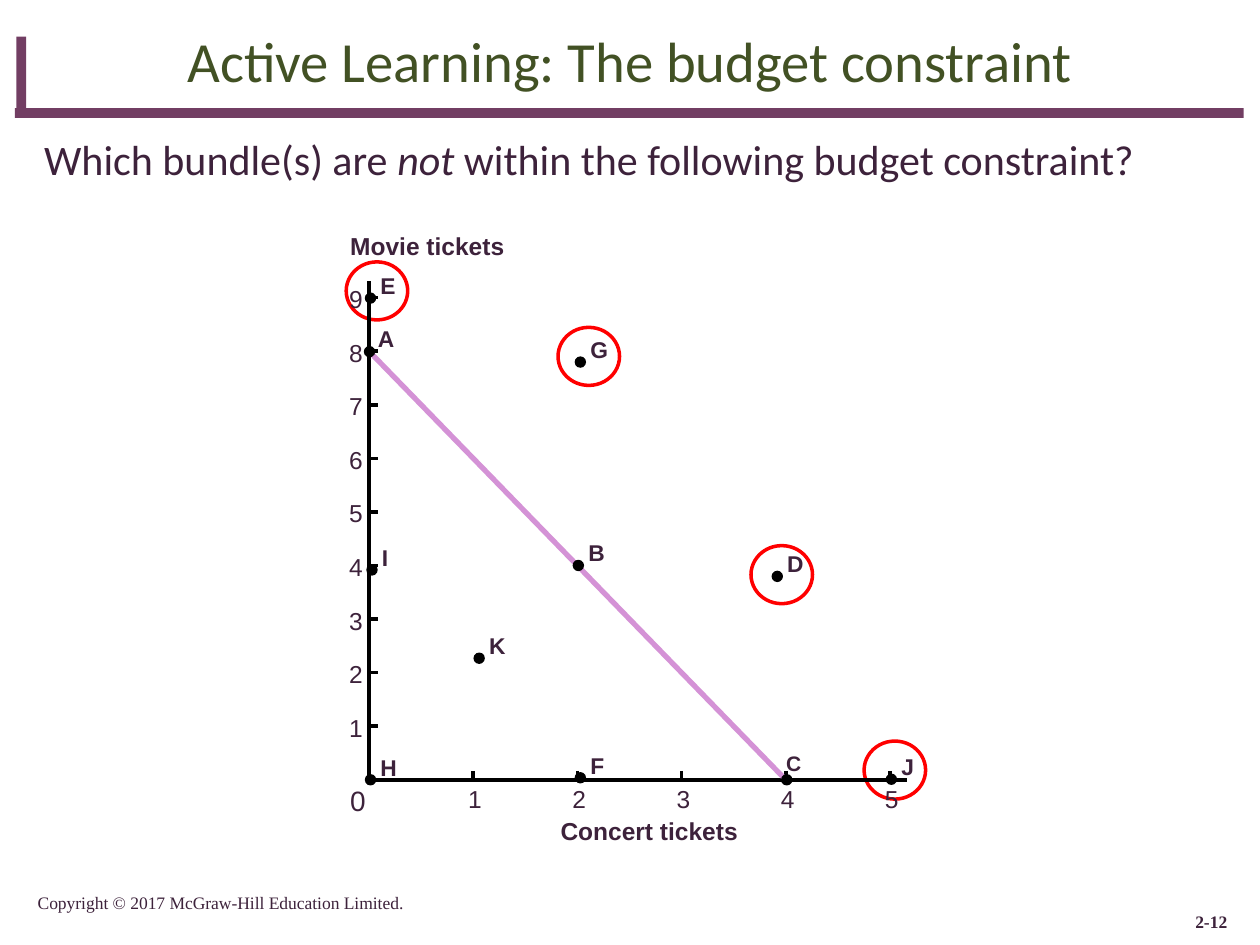
import pptx
import pptx.dml.color
import pptx.enum.shapes
import pptx.enum.text
import pptx.oxml.ns
import pptx.util
from dataclasses import dataclass
from lxml import etree

Cm = pptx.util.Cm
Pt = pptx.util.Pt
ALIGN = pptx.enum.text.PP_ALIGN
ANCHOR = pptx.enum.text.MSO_ANCHOR
FIT = pptx.enum.text.MSO_AUTO_SIZE
SHAPE = pptx.enum.shapes.MSO_SHAPE


@dataclass(frozen=True)
class Theme:
    ink: str = "3D223B"
    title: str = "425124"
    bar: str = "723E63"
    budget: str = "D492D6"
    ring: str = "FF0000"
    paper: str = "FFFFFF"
    black: str = "000000"
    heading_font: str = "Calibri"
    chart_font: str = "Arial"
    footer_font: str = "Times New Roman"
    title_size: float = 32.4
    body_size: float = 24
    origin_size: float = 16
    axis_size: float = 14
    point_size: float = 13
    small_point_size: float = 12
    footer_size: float = 10


class Painter:
    """Draws elements on the current page; all lengths are centimetres."""

    def __init__(self, page, theme):
        self.page = page
        self.theme = theme

    def color(self, value):
        return pptx.dml.color.RGBColor.from_string(value)

    def stroke(self, line, color, width):
        line.color.rgb = self.color(color)
        line.width = Pt(width)

    def shape(self, kind, left, top, width, height, fill, line=None, weight=0):
        shape = self.page.shapes.add_shape(kind, Cm(left), Cm(top), Cm(width), Cm(height))
        shape.shadow.inherit = False
        shape.fill.solid()
        shape.fill.fore_color.rgb = self.color(fill)
        if line:
            self.stroke(shape.line, line, weight)
        else:
            shape.line.fill.background()

    def line(self, start, end):
        line = self.page.shapes.add_connector(
            pptx.enum.shapes.MSO_CONNECTOR.STRAIGHT, *map(Cm, start + end))
        etree.SubElement(line._element.spPr, pptx.oxml.ns.qn("a:effectLst"))
        self.stroke(line.line, self.theme.black, 0)

    def polyline(self, points, color, weight):
        points = [(Cm(x), Cm(y)) for x, y in points]
        builder = self.page.shapes.build_freeform(*points[0])
        builder.add_line_segments(points[1:], close=False)
        shape = builder.convert_to_shape()
        shape.shadow.inherit = False
        shape.fill.background()
        self.stroke(shape.line, color, weight)

    def text(self, spans, left, top, width, height, frame_format, font_format,
             align=ALIGN.LEFT, color=None):
        box = self.page.shapes.add_textbox(Cm(left), Cm(top), Cm(width), Cm(height))
        for name, value in frame_format.items():
            setattr(box.text_frame, name, value)
        para = box.text_frame.paragraphs[0]
        para.alignment = align
        for words, extra in spans:
            span = para.add_run()
            span.text = words
            span.font.color.rgb = self.color(color or self.theme.ink)
            for name, value in {**font_format, **extra}.items():
                setattr(span.font, name, value)

    def label(self, words, left, top, width, height, size, bold=False):
        frame_format = dict(margin_left=0, margin_top=0, margin_right=0, margin_bottom=0,
                            word_wrap=False, auto_size=FIT.SHAPE_TO_FIT_TEXT)
        font_format = dict(name=self.theme.chart_font, size=Pt(size), bold=bold)
        self.text([(words, {})], left, top, width, height, frame_format, font_format)


# Graph scale: origin and length of one ticket on each axis
ORIGIN_X, ORIGIN_Y = 7.44, 15.72
STEP_X, STEP_Y = 2.1, 1.08
TICK = 0.18
DOT = 0.23
RING_WIDTH, RING_HEIGHT = 1.24, 1.17

# Bundle: dot centre x, y and label width
BUNDLES = {
    "A": (7.45, 7.09, 0.33), "B": (11.66, 11.4, 0.33), "C": (15.86, 15.72, 0.3),
    "H": (7.47, 15.72, 0.33), "I": (7.5, 11.49, 0.13), "F": (11.7, 15.68, 0.28),
    "G": (11.7, 7.3, 0.36), "D": (15.67, 11.62, 0.33), "J": (17.97, 15.71, 0.25),
    "E": (7.47, 6.01, 0.3), "K": (9.66, 13.27, 0.33),
}
LABEL_OFFSETS = {"A": (0.17, -0.54), "C": (-0.01, -0.58)}
# Top left corner of the rings around E, J, D and G
RINGS = [(6.98, 5.28), (17.42, 14.94), (15.14, 11), (11.25, 6.6)]


def graph_point(concerts, movies):
    return ORIGIN_X + concerts * STEP_X, ORIGIN_Y - movies * STEP_Y


def draw_frame(painter):
    theme = painter.theme
    # Corner bars
    for bar in [(0.3, 2.18, 24.77, 0.2), (0.33, 0.74, 0.2, 1.47)]:
        painter.shape(SHAPE.RECTANGLE, *bar, theme.bar)
    # Footer
    frame_format = dict(word_wrap=True, vertical_anchor=ANCHOR.BOTTOM)
    font_format = dict(name=theme.footer_font, size=Pt(theme.footer_size))
    painter.text([("2-12", {"bold": True})], 23.77, 18.16, 1.22, 0.76,
                 frame_format, font_format, ALIGN.RIGHT)
    painter.text([("Copyright © 2017 McGraw-Hill Education Limited.", {})],
                 0.51, 17.78, 11.86, 0.76, frame_format, font_format)
    # Title and question
    painter.text([("Active Learning: The budget constraint", {})], 1.27, 0.43, 22.86, 1.57,
                 dict(word_wrap=True, vertical_anchor=ANCHOR.MIDDLE),
                 dict(name=theme.heading_font, size=Pt(theme.title_size)),
                 ALIGN.CENTER, theme.title)
    question = [("Which bundle(s) are ", {}), ("not", {"italic": True}),
                (" within the following budget constraint?", {})]
    painter.text(question, 0.64, 2.57, 22.86, 2.34, dict(word_wrap=True),
                 dict(name=theme.heading_font, size=Pt(theme.body_size)))


def draw_axes(painter):
    size = painter.theme.axis_size
    # Movie axis
    painter.line((ORIGIN_X, ORIGIN_Y), (ORIGIN_X, 5.66))
    for movies in range(1, 10):
        x, y = graph_point(0, movies)
        painter.line((x, y), (x + TICK, y))
        painter.label(str(movies), x - 0.4, y - 0.27, 0.28, 0.61, size)
    painter.label("Movie tickets", 7.06, 4.65, 3.12, 0.61, size, True)
    # Concert axis
    painter.line((ORIGIN_X, ORIGIN_Y), (18.29, ORIGIN_Y))
    for concerts in range(1, 6):
        x, y = graph_point(concerts, 0)
        painter.line((x, y - TICK), (x, y))
        painter.label(str(concerts), x - 0.1, 15.8, 0.28, 0.61, size)
    painter.label("Concert tickets", 11.3, 16.46, 3.58, 0.61, size, True)
    painter.label("0", 7.06, 15.8, 0.3, 0.69, painter.theme.origin_size)


def draw_bundles(painter):
    theme = painter.theme
    # Budget line: two movies for every concert
    painter.polyline([graph_point(4 - movies / 2, movies) for movies in range(8, -1, -1)],
                     theme.budget, 3)
    # Dots with letters
    for name, (x, y, width) in BUNDLES.items():
        shift_x, shift_y = LABEL_OFFSETS.get(name, (0.2, -0.53))
        size = theme.small_point_size if name == "C" else theme.point_size
        painter.shape(SHAPE.OVAL, x - DOT / 2, y - DOT / 2, DOT, DOT, theme.black)
        painter.label(name, x + shift_x, y + shift_y, width, 0.56, size, True)


def main():
    deck = pptx.Presentation()
    deck.slide_width, deck.slide_height = Cm(25.4), Cm(19.05)
    painter = Painter(deck.slides.add_slide(deck.slide_layouts[6]), Theme())
    theme = painter.theme
    draw_frame(painter)
    # Rings lie behind the graph
    for left, top in RINGS:
        painter.shape(SHAPE.OVAL, left, top, RING_WIDTH, RING_HEIGHT,
                      theme.paper, theme.ring, 2)
    draw_axes(painter)
    draw_bundles(painter)
    deck.save("out.pptx")


if __name__ == "__main__":
    main()
